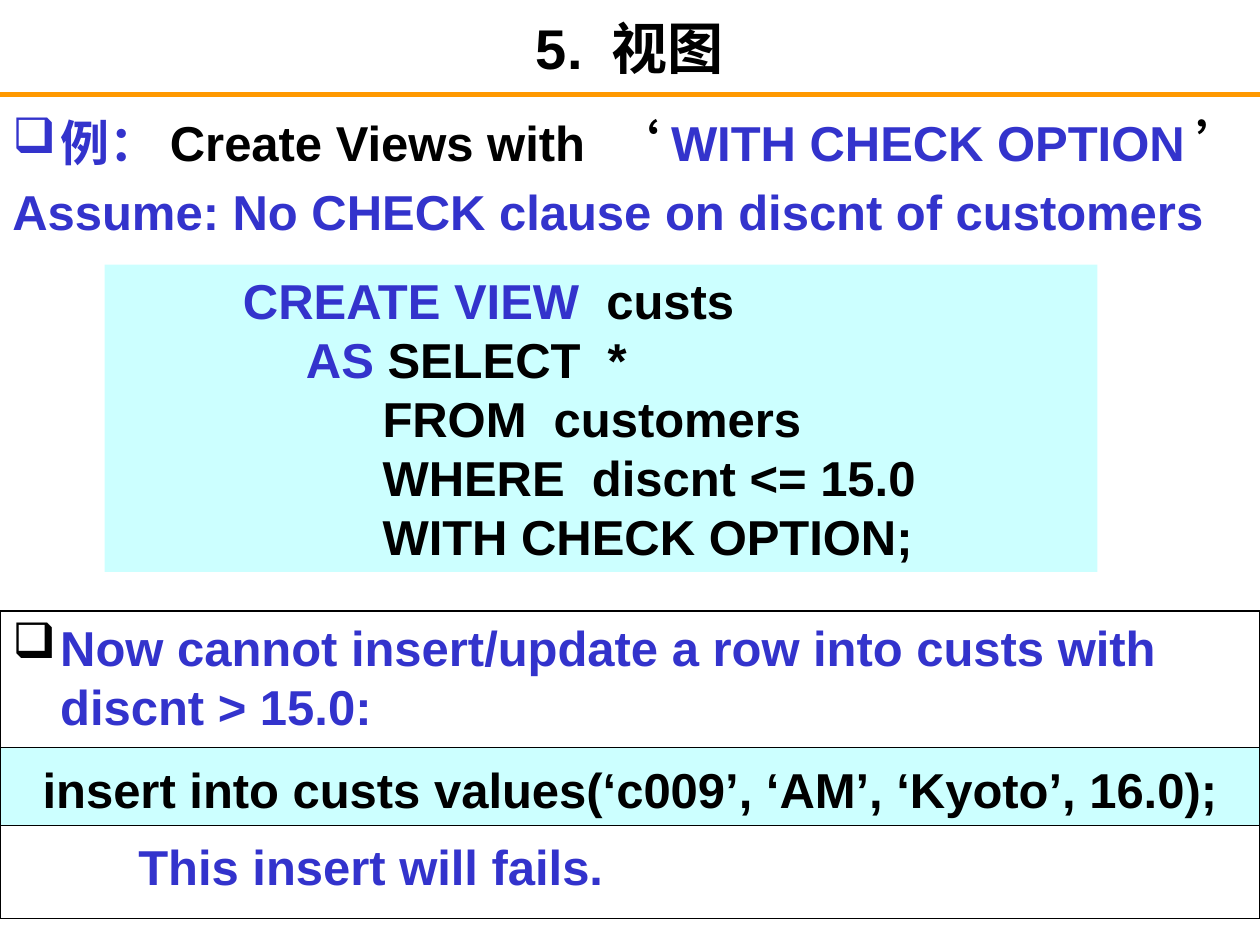
import pptx
import pptx.util
import pptx.dml.color
import pptx.enum.shapes
import pptx.enum.text
import pptx.oxml.ns
from lxml import etree

Inches = pptx.util.Inches
Pt = pptx.util.Pt
ALIGN = pptx.enum.text.PP_ALIGN
ANCHOR = pptx.enum.text.MSO_ANCHOR
COLOURS = {"black": "000000", "blue": "3333CC", "cyan": "CCFFFF", "orange": "FF9900"}


class SlideBuilder:
    """Places styled elements on a grid of 100 columns by 75 rows."""

    columns, rows = 100, 75
    font = {"name": "Arial", "size": Pt(28), "bold": True}

    def __init__(self, presentation):
        self.width = presentation.slide_width
        self.height = presentation.slide_height
        self.slide = presentation.slides.add_slide(presentation.slide_layouts[6])

    def across(self, columns):
        return round(self.width * columns / self.columns)

    def down(self, rows):
        return round(self.height * rows / self.rows)

    def place(self, column, row, columns, rows):
        return self.across(column), self.down(row), self.across(columns), self.down(rows)

    def colour(self, name):
        return pptx.dml.color.RGBColor.from_string(COLOURS[name])

    def rule(self, row, colour, weight):
        line = self.slide.shapes.add_connector(
            pptx.enum.shapes.MSO_CONNECTOR.STRAIGHT,
            0, self.down(row), self.width, self.down(row))
        line.line.color.rgb = self.colour(colour)
        line.line.width = Pt(weight)
        properties = line._element.spPr
        etree.SubElement(properties, pptx.oxml.ns.qn("a:effectLst"))

    def text(self, position, paragraphs, anchor=ANCHOR.TOP):
        box = self.slide.shapes.add_textbox(*self.place(*position))
        self.fill_text(box.text_frame, paragraphs, anchor)

    def panel(self, position, paragraphs, fill=None, outline=None):
        shape = self.slide.shapes.add_shape(
            pptx.enum.shapes.MSO_SHAPE.RECTANGLE, *self.place(*position))
        shape.shadow.inherit = False
        if fill:
            shape.fill.solid()
            shape.fill.fore_color.rgb = self.colour(fill)
        else:
            shape.fill.background()
        if outline:
            shape.line.color.rgb = self.colour(outline)
            shape.line.width = Pt(0.75)
        else:
            shape.line.fill.background()
        self.fill_text(shape.text_frame, paragraphs, ANCHOR.TOP)

    def fill_text(self, frame, paragraphs, anchor):
        frame.word_wrap = True
        frame.vertical_anchor = anchor
        for index, (runs, style) in enumerate(paragraphs):
            paragraph = frame.paragraphs[0] if index == 0 else frame.add_paragraph()
            self.style_paragraph(paragraph, **style)
            for text, colour in runs:
                run = paragraph.add_run()
                run.text = text
                for name, value in {**self.font, **style.get("font", {})}.items():
                    setattr(run.font, name, value)
                run.font.color.rgb = self.colour(colour)

    def style_paragraph(self, paragraph, margin=0, indent=0, bullet=None, font=None, **values):
        for name, value in {"alignment": ALIGN.LEFT, **values}.items():
            setattr(paragraph, name, value)
        properties = paragraph._p.get_or_add_pPr()
        properties.set("marL", str(Inches(margin)))
        properties.set("indent", str(Inches(indent)))
        if bullet:
            colour = etree.SubElement(properties, pptx.oxml.ns.qn("a:buClr"))
            etree.SubElement(colour, pptx.oxml.ns.qn("a:srgbClr"), val=COLOURS[bullet])
            etree.SubElement(properties, pptx.oxml.ns.qn("a:buChar"), char="❑")
        else:
            etree.SubElement(properties, pptx.oxml.ns.qn("a:buNone"))


def main():
    presentation = pptx.Presentation()
    presentation.slide_width = Inches(10)
    presentation.slide_height = Inches(7.5)
    builder = SlideBuilder(presentation)
    hanging = {"margin": 0.38, "indent": -0.38}

    builder.rule(7.5, "orange", 3)
    builder.text((7.5, 0.8, 85, 5.8), [
        ([("5. 视图", "black")], {"alignment": ALIGN.CENTER, "font": {"size": Pt(32)}}),
    ], ANCHOR.MIDDLE)
    builder.text((0, 8.4, 100, 57.5), [
        ([("例：", "blue"), ("Create Views with ‘", "black"),
          ("WITH CHECK OPTION", "blue"), ("’", "black")], {**hanging, "bullet": "blue"}),
        ([("Assume: No CHECK clause on discnt of customers", "blue")],
         {**hanging, "space_before": Pt(6)}),
    ])

    view_lines = [
        (1, [("CREATE VIEW", "blue"), ("  custs", "black")]),
        (2, [("AS", "blue"), (" SELECT  *", "black")]),
        (3, [(" FROM  customers", "black")]),
        (3, [(" WHERE  discnt <= 15.0", "black")]),
        (3, [(" WITH CHECK OPTION;", "black")]),
    ]
    builder.panel((8.3, 21, 78.8, 24.4), [
        (runs, {"level": level, "margin": 0.5 + level / 2}) for level, runs in view_lines
    ], fill="cyan")

    builder.panel((0, 48.5, 100, 24.4), [
        ([("Now cannot insert/update a row into custs with discnt > 15.0:", "blue")],
         {**hanging, "bullet": "black"}),
        ([("This insert will fails.", "blue")],
         {"level": 1, "margin": 1.25, "indent": -0.25, "space_before": Pt(58)}),
    ], outline="black")
    builder.panel((0, 59.3, 100, 6.2), [
        ([("insert into custs values(‘c009’, ‘AM’, ‘Kyoto’, 16.0);", "black")],
         {"alignment": ALIGN.CENTER, "line_spacing": 1.1}),
    ], fill="cyan", outline="black")
    presentation.save("out.pptx")


if __name__ == "__main__":
    main()
